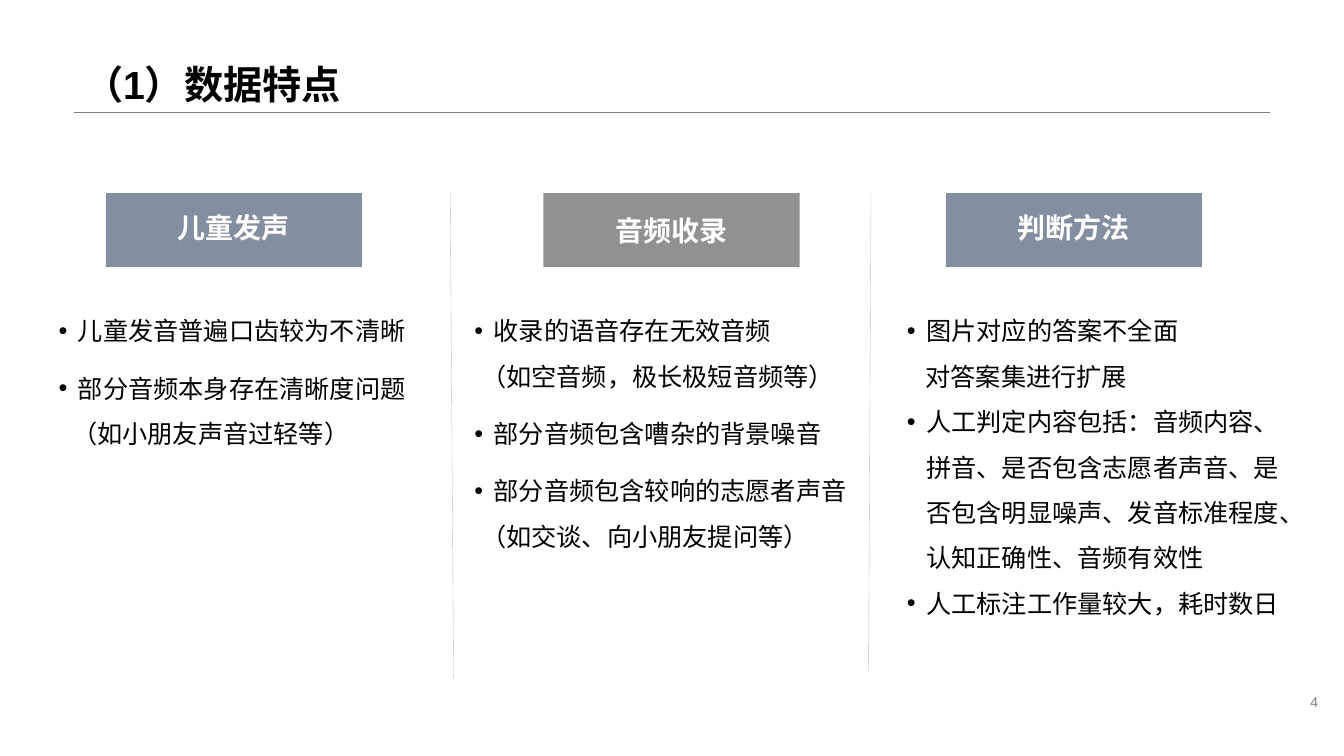
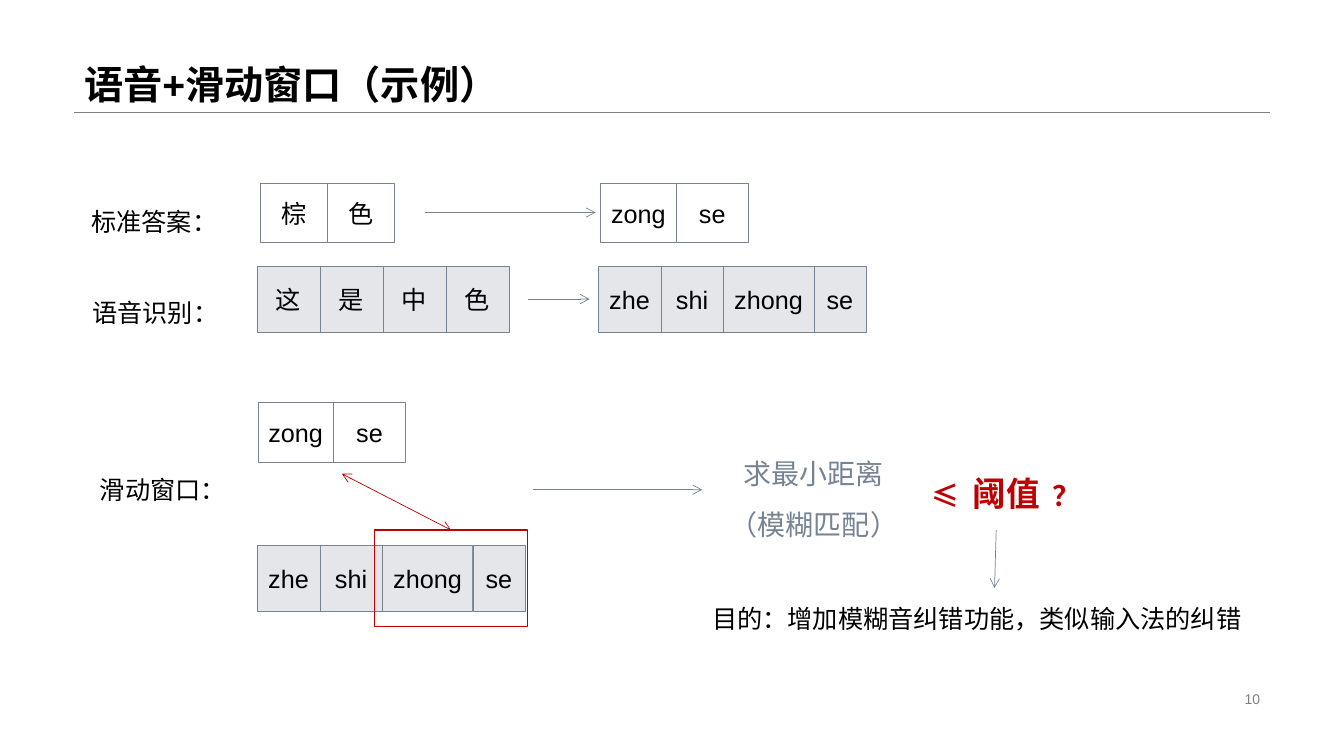
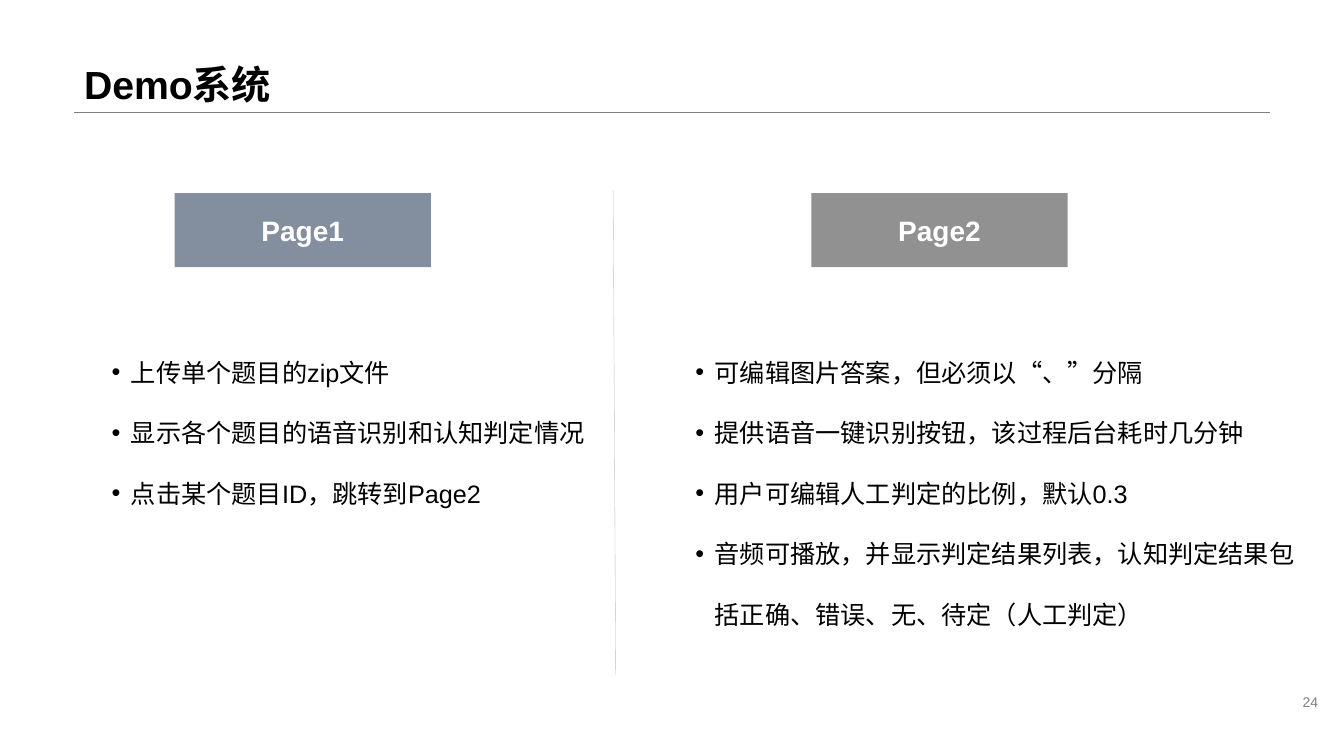
from lxml import etree
from pptx import Presentation, util as u
from pptx.dml.color import RGBColor
from pptx.enum import lang, shapes, text
from pptx.oxml.ns import qn

# Shared look: the slide is a grid of 160 x 90 square cells
COLS, ROWS, CELL = 160, 90, u.Inches(1) / 12
FONT = "Arial"
BLACK, WHITE, GRAY, PALE = "000000", "FFFFFF", "808080", "E4E6EA"
SLATE, BAR_BLUE, BAR_GRAY = "768394", "838F9E", "919191"
RED, DIVIDER = "C00000", "BFBFBF"
BAR_TOP, BAR_W, BAR_H = 23, 30.5, 8.8
HANG = 2.3


def g(*cells):
    """Grid cells to slide lengths."""
    return [u.Emu(round(n * CELL)) for n in cells]


def rgb(value):
    return RGBColor.from_string(value)


# Text
def style(r, size, color=BLACK, bold=False):
    f = r.font
    f.name, f.size, f.bold = FONT, u.Pt(size), bold
    f.color.rgb = rgb(color)
    f.language_id = lang.MSO_LANGUAGE_ID.SIMPLIFIED_CHINESE


def write(p, value, size=18, color=BLACK, bold=False, align=text.PP_ALIGN.LEFT):
    p.text = value
    p.alignment = align
    for r in p.runs:
        style(r, size, color, bold)


def indent(p, left, first=0):
    pPr = p._p.get_or_add_pPr()
    pPr.set("marL", str(g(left)[0]))
    pPr.set("indent", str(g(first)[0]))
    return pPr


def text_box(s, x, y, w, h=4.8):
    tf = s.shapes.add_textbox(*g(x, y, w, h)).text_frame
    tf.word_wrap = True
    return tf


def label(s, x, y, w, value):
    write(text_box(s, x, y, w).paragraphs[0], value)


def bullets(s, x, y, w, h, items, spacing, gap=0):
    """A string is a bullet; (indent, string) is a line that continues it."""
    tf = text_box(s, x, y, w, h)
    for i, item in enumerate(items):
        p = tf.add_paragraph() if i else tf.paragraphs[0]
        p.line_spacing = spacing
        if isinstance(item, tuple):
            left, value = item
            write(p, value)
            indent(p, left)
            continue
        write(p, item)
        p.space_before = u.Pt(gap if i else 0)
        pPr = indent(p, HANG, -HANG)
        etree.SubElement(pPr, qn("a:buFont")).set("typeface", FONT)
        etree.SubElement(pPr, qn("a:buChar")).set("char", "•")


# Shapes and lines
def rect(s, x, y, w, h, fill=None, line=None, width=0.5):
    sp = s.shapes.add_shape(shapes.MSO_SHAPE.RECTANGLE, *g(x, y, w, h))
    sp.shadow.inherit = False
    if fill:
        sp.fill.solid()
        sp.fill.fore_color.rgb = rgb(fill)
    else:
        sp.fill.background()
    if line:
        sp.line.color.rgb = rgb(line)
        sp.line.width = u.Pt(width)
    else:
        sp.line.fill.background()
    return sp


def centered(sp, value, lift=0, **look):
    tf = sp.text_frame
    tf.word_wrap = False
    tf.vertical_anchor = text.MSO_ANCHOR.MIDDLE
    tf.margin_left = tf.margin_right = tf.margin_top = 0
    tf.margin_bottom = g(lift)[0]
    write(tf.paragraphs[0], value, align=text.PP_ALIGN.CENTER, **look)


def bar(s, x, value, fill, lift=0):
    centered(rect(s, x, BAR_TOP, BAR_W, BAR_H, fill), value, lift,
             size=20, color=WHITE, bold=True)


def cells(s, x, y, h, fill, items):
    for value, w in items:
        centered(rect(s, x, y, w, h, fill, SLATE), value)
        x += w


def line(s, x1, y1, x2, y2, color, width=0.25, ends=()):
    """ends names the arrowheads: headEnd at the start, tailEnd at the end."""
    c = s.shapes.add_connector(shapes.MSO_CONNECTOR.STRAIGHT, *g(x1, y1, x2, y2))
    c.line.color.rgb = rgb(color)
    c.line.width = u.Pt(width)
    ln = c.line._get_or_add_ln()
    for end in ends:
        etree.SubElement(ln, qn("a:" + end)).set("type", "arrow")
    etree.SubElement(c._element.spPr, qn("a:effectLst"))
    return c


def arrow(s, x1, y1, x2, y2):
    line(s, x1, y1, x2, y2, SLATE, 0.5, ["tailEnd"])


# Title, rule and page number of every slide
def new_slide(prs, title, number, number_at=(119.9, 82.2)):
    s = prs.slides.add_slide(prs.slide_layouts[5])
    sp = s.shapes.title
    sp.left, sp.top, sp.width, sp.height = g(8.8, 0, 142.4, 13.4)
    tf = sp.text_frame
    tf.vertical_anchor = text.MSO_ANCHOR.BOTTOM
    write(tf.paragraphs[0], title, 28, bold=True)
    tf.paragraphs[0].line_spacing = 0.9
    line(s, 8.8, 13.4, 151.2, 13.4, GRAY)
    tf = text_box(s, *number_at, 38.2, 2.8)
    tf.vertical_anchor = text.MSO_ANCHOR.MIDDLE
    write(tf.paragraphs[0], number, 10, GRAY, align=text.PP_ALIGN.RIGHT)
    return s


def data_slide(prs):
    s = new_slide(prs, "（1）数据特点", "4")
    bar(s, 12.6, "儿童发声", BAR_BLUE, 0.8)
    bar(s, 64.7, "音频收录", BAR_GRAY)
    bar(s, 112.6, "判断方法", BAR_BLUE, 0.8)
    line(s, 53.6, 22.9, 54, 80.8, DIVIDER)
    line(s, 103.7, 23, 103.4, 80, DIVIDER)
    bullets(s, 5.8, 35.2, 44.2, 32.6, [
        "儿童发音普遍口齿较为不清晰",
        "部分音频本身存在清晰度问题",
        (1.6, "（如小朋友声音过轻等）")], 1.5, 8.5)
    bullets(s, 55.3, 35.2, 48.1, 32.6, [
        "收录的语音存在无效音频",
        (0.8, "（如空音频，极长极短音频等）"),
        "部分音频包含嘈杂的背景噪音",
        "部分音频包含较响的志愿者声音",
        (0.8, "（如交谈、向小朋友提问等）")], 1.5, 8.5)
    bullets(s, 106.8, 35.2, 47, 39.4, [
        "图片对应的答案不全面",
        (2.2, "对答案集进行扩展"),
        "人工判定内容包括：音频内容、拼音、是否包含志愿者声音、"
        "是否包含明显噪声、发音标准程度、认知正确性、音频有效性",
        "人工标注工作量较大，耗时数日"], 1.5)


def window_slide(prs):
    s = new_slide(prs, "语音+滑动窗口（示例）", "10", (113, 81.8))
    label(s, 9.7, 24, 20, "标准答案：")
    label(s, 9.8, 34.8, 20, "语音识别：")
    label(s, 10.7, 55.9, 20, "滑动窗口：")

    # Characters and their pinyin
    answer = [("zong", 9), ("se", 8.6)]
    heard = [("zhe", 7.5), ("shi", 7.4), ("zhong", 10.8), ("se", 6.2)]
    cells(s, 31, 21.8, 7.1, WHITE, [(c, 8) for c in "棕色"])
    cells(s, 71.5, 21.8, 7.1, WHITE, answer)
    cells(s, 30.6, 31.7, 7.9, PALE, [(c, 7.5) for c in "这是中色"])
    cells(s, 71.2, 31.7, 7.9, PALE, heard)
    arrow(s, 50.6, 25.3, 70.9, 25.3)
    arrow(s, 62.9, 35.6, 70.2, 35.6)

    # Sliding window
    cells(s, 30.7, 47.9, 7.1, WHITE, answer)
    cells(s, 30.6, 64.9, 7.9, PALE, heard)
    window = rect(s, 44.6, 63.1, 18.2, 11.5, line=RED, width=1)
    match = line(s, 40.7, 56.4, 53.7, 63.1, RED, 0.5, ["headEnd", "tailEnd"])
    match.end_connect(window, 0)
    arrow(s, 63.4, 58.3, 83.6, 58.3)

    # Distance, threshold and purpose
    tf = text_box(s, 85.7, 51.8, 29.2, 13.3)
    for p, value, left in zip((tf.paragraphs[0], tf.add_paragraph()),
                              ("求最小距离", "（模糊匹配）"), (1.6, 0)):
        write(p, value, 20, SLATE)
        p.line_spacing = 1.5
        indent(p, left)
    p = text_box(s, 109.7, 55.7, 25.8, 6).paragraphs[0]
    for value, size, tracking in (("≤ ", 20, 250), ("阈值", 24, 0), (" ？", 20, 450)):
        r = p.add_run()
        r.text = value
        style(r, size, RED, True)
        r.font._element.set("spc", str(tracking))
    arrow(s, 118.6, 63.1, 118.4, 70)
    label(s, 83.6, 71.2, 70, "目的：增加模糊音纠错功能，类似输入法的纠错")


def demo_slide(prs):
    s = new_slide(prs, "Demo系统", "24")
    bar(s, 20.8, "Page1", BAR_BLUE)
    bar(s, 96.6, "Page2", BAR_GRAY)
    line(s, 73, 22.7, 73.3, 80.4, DIVIDER)
    bullets(s, 12.1, 38.3, 59, 32.6, [
        "上传单个题目的zip文件",
        "显示各个题目的语音识别和认知判定情况",
        "点击某个题目ID，跳转到Page2"], 2)
    bullets(s, 81.6, 38.3, 76.4, 51.7, [
        "可编辑图片答案，但必须以“、”分隔",
        "提供语音一键识别按钮，该过程后台耗时几分钟",
        "用户可编辑人工判定的比例，默认0.3",
        "音频可播放，并显示判定结果列表，认知判定结果包括正确、错误、无、待定（人工判定）"], 2)


def main():
    prs = Presentation()
    prs.slide_width, prs.slide_height = g(COLS, ROWS)
    data_slide(prs)
    window_slide(prs)
    demo_slide(prs)
    prs.save("out.pptx")


if __name__ == "__main__":
    main()
